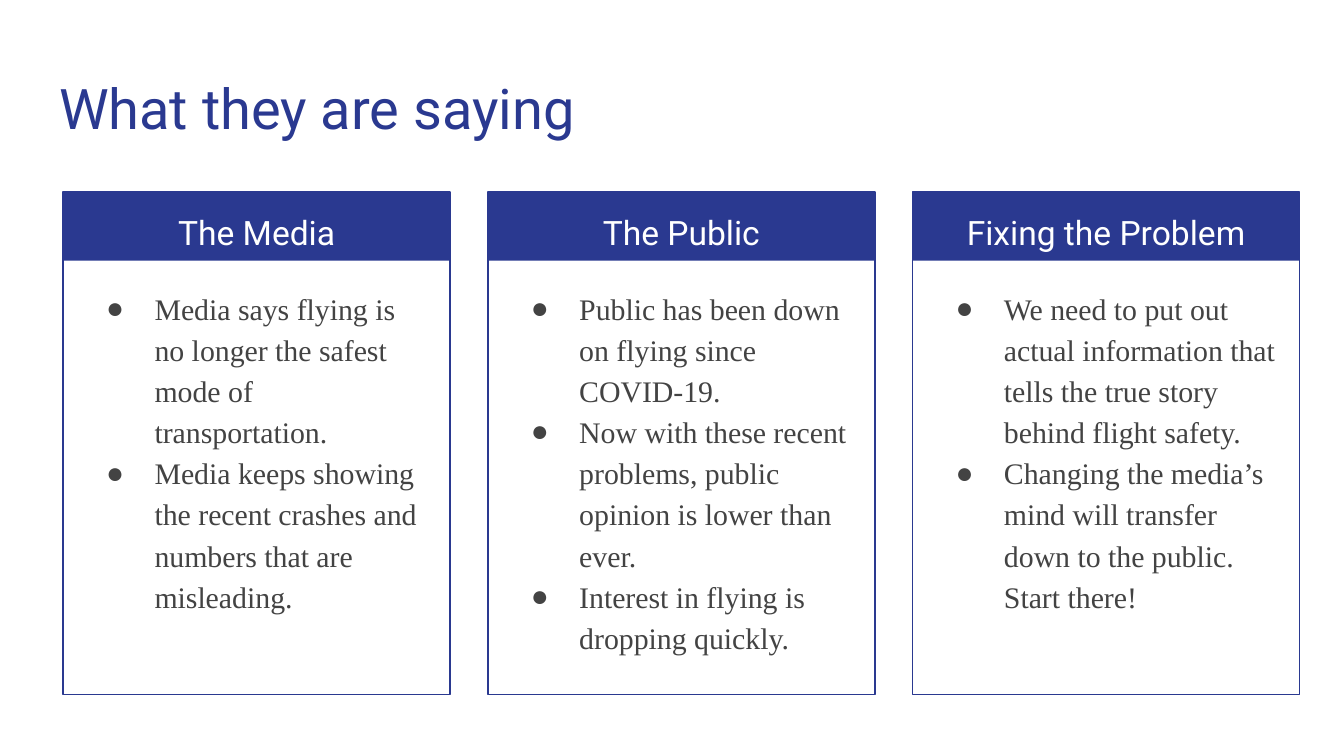
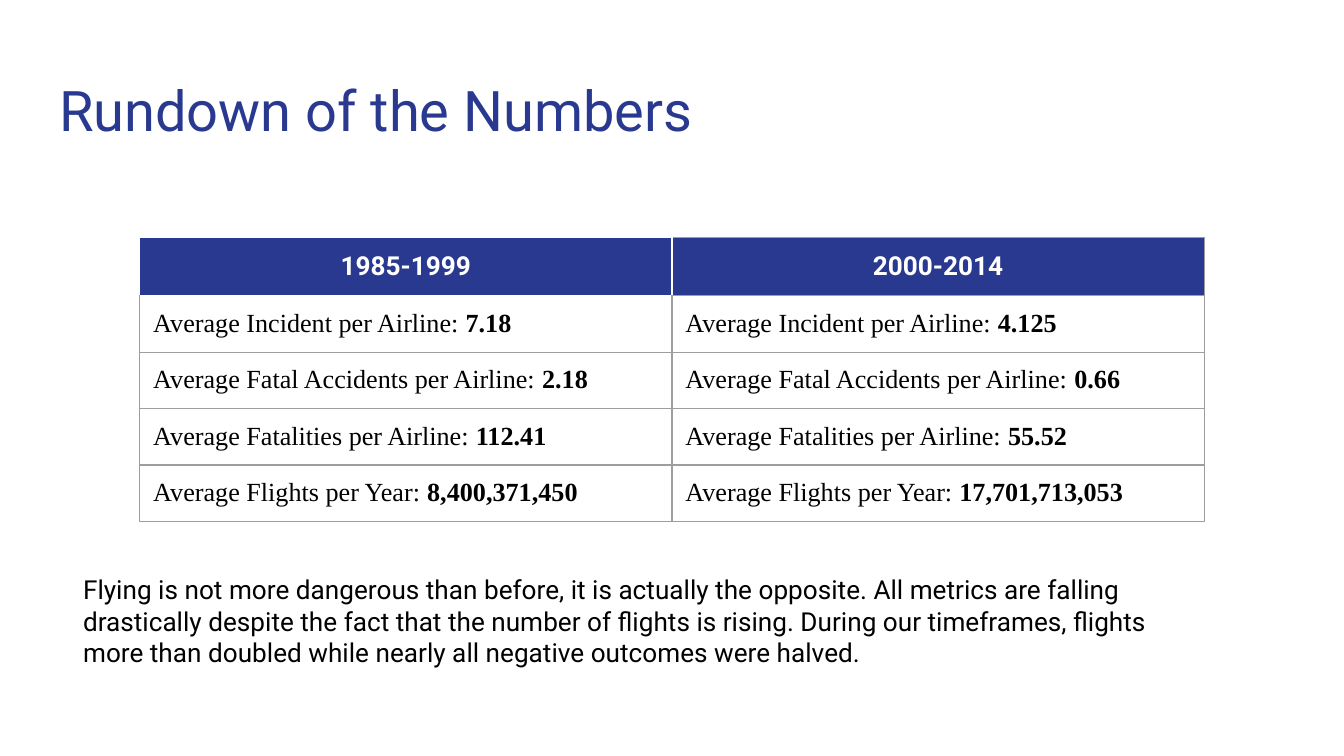
from lxml.etree import SubElement
from pptx import Presentation
from pptx.dml.color import RGBColor
from pptx.enum.shapes import MSO_SHAPE
from pptx.enum.text import MSO_ANCHOR, MSO_AUTO_SIZE, PP_ALIGN
from pptx.oxml import parse_xml
from pptx.oxml.ns import nsdecls, qn
from pptx.util import Inches, Pt

# Shared look
WIDE, HIGH = 10, 5.625
BLUE, GREY, EDGE = "2A3990", "434343", "9E9E9E"
WHITE, BLACK = "FFFFFF", "000000"
SANS, SERIF = "Roboto", "Times New Roman"

# Card layout, in percent of the slide's width and height
LEFT, STEP, CARD = 4.7, 31.6, 28.8
TOP, BAR, TALL = 25.42, 9.07, 66.49
PAD = 0.8

CARDS = [
    ("The Media", [
        "Media says flying is no longer the safest mode of transportation.",
        "Media keeps showing the recent crashes and numbers that are misleading.",
    ]),
    ("The Public", [
        "Public has been down on flying since COVID-19.",
        "Now with these recent problems, public opinion is lower than ever.",
        "Interest in flying is dropping quickly.",
    ]),
    ("Fixing the Problem", [
        "We need to put out actual information that tells the true story "
        "behind flight safety.",
        "Changing the media’s mind will transfer down to the public. Start there!",
    ]),
]

YEARS = ["1985-1999", "2000-2014"]
STATS = [
    ("Average Incident per Airline: ", "7.18", "4.125"),
    ("Average Fatal Accidents per Airline: ", "2.18", "0.66"),
    ("Average Fatalities per Airline: ", "112.41", "55.52"),
    ("Average Flights per Year: ", "8,400,371,450", "17,701,713,053"),
]
CLOSING = (
    "Flying is not more dangerous than before, it is actually the opposite. "
    "All metrics are falling drastically despite the fact that the number of "
    "flights is rising. During our timeframes, flights more than doubled while "
    "nearly all negative outcomes were halved."
)


def color(code):
    return RGBColor.from_string(code)


def area(x, y, w, h):
    """Turn percentages of the slide into lengths."""
    return [Inches(part * side / 100)
            for part, side in zip((x, y, w, h), (WIDE, HIGH) * 2)]


def place(shape, *box):
    shape.left, shape.top, shape.width, shape.height = area(*box)
    return shape


def dot(para, tint):
    props = para._p.get_or_add_pPr()
    props.set("marL", str(Inches(0.5)))
    props.set("indent", str(Inches(-0.36)))
    paint = SubElement(props, qn("a:buClr"))
    SubElement(paint, qn("a:srgbClr"), val=tint)
    SubElement(props, qn("a:buChar"), char="●")


def write(frame, *paras, size=14, font=SANS, tint=BLACK, bold=False,
          align=PP_ALIGN.LEFT, space=1.0, bullet=False):
    """Fill a frame; a paragraph is a string or a (plain, bold) pair."""
    for i, item in enumerate(paras):
        para = frame.add_paragraph() if i else frame.paragraphs[0]
        para.alignment, para.line_spacing = align, space
        para.space_before = para.space_after = Pt(0)
        if bullet:
            dot(para, tint)
        for j, words in enumerate([item] if isinstance(item, str) else item):
            run = para.add_run()
            run.text = words
            run.font.size, run.font.name = Pt(size), font
            run.font.bold = bold or j > 0
            run.font.color.rgb = color(tint)


def setup(shape):
    """Give a text shape the shared insets and top anchor."""
    frame = shape.text_frame
    frame.word_wrap, frame.auto_size = True, MSO_AUTO_SIZE.NONE
    frame.vertical_anchor = MSO_ANCHOR.TOP
    frame.margin_left = frame.margin_right = Inches(0.1)
    frame.margin_top = frame.margin_bottom = Inches(0.1)
    return frame


def label(slide, box, text, **style):
    write(setup(slide.shapes.add_textbox(*area(*box))), text, **style)


def title(slide, text, top=8):
    head = place(slide.shapes.title, 3.4, top, 93.2, 11.73)
    write(setup(head), text, size=30, tint=BLUE)


def block(slide, box, fill=None, line=None):
    rect = slide.shapes.add_shape(MSO_SHAPE.RECTANGLE, *area(*box))
    rect.shadow.inherit = False
    if fill:
        rect.fill.solid()
        rect.fill.fore_color.rgb = color(fill)
    else:
        rect.fill.background()
    if line:
        rect.line.color.rgb = color(line)
        rect.line.width = Pt(0.75)
    else:
        rect.line.fill.background()


def card(slide, body, x, head, points):
    block(slide, (x, TOP, CARD, BAR), fill=BLUE)
    block(slide, (x, TOP, CARD, TALL), line=BLUE)
    inner = CARD - 2 * PAD
    label(slide, (x + PAD, TOP, inner, 8.89), head, size=18, tint=WHITE,
          align=PP_ALIGN.CENTER, space=1.15)
    place(body, x + PAD, 35.91, inner, 54.4)
    write(setup(body), *points, size=16, font=SERIF, tint=GREY,
          space=1.15, bullet=True)


def border(cell, tints):
    props = cell._tc.get_or_add_tcPr()
    for i, (side, tint) in enumerate(zip("LRTB", tints)):
        props.insert(i, parse_xml(
            f'<a:ln{side} {nsdecls("a")} w="{Pt(0.75)}"><a:solidFill>'
            f'<a:srgbClr val="{tint}"/></a:solidFill></a:ln{side}>'))


def edges(row, col):
    """Left, right, top, bottom: white around the first cell only."""
    near = {(0, 0): "LRTB", (0, 1): "L", (1, 0): "T"}.get((row, col), "")
    return [WHITE if side in near else EDGE for side in "LRTB"]


def grid(slide, box):
    rows, cols = len(STATS) + 1, len(YEARS)
    table = slide.shapes.add_table(rows, cols, *area(*box)).table
    table.first_row = table.horz_banding = False
    for row in range(rows):
        for col in range(cols):
            cell = table.cell(row, col)
            cell.margin_left = cell.margin_right = Inches(0.1)
            cell.margin_top = cell.margin_bottom = Inches(0.1)
            if row == 0:
                cell.fill.solid()
                cell.fill.fore_color.rgb = color(BLUE)
                write(cell.text_frame, YEARS[col], tint=WHITE, bold=True,
                      align=PP_ALIGN.CENTER)
            else:
                cell.fill.background()
                name, *values = STATS[row - 1]
                write(cell.text_frame, (name, values[col]), font=SERIF)
            border(cell, edges(row, col))


def views(deck):
    slide = deck.slides.add_slide(deck.slide_layouts.get_by_name("Comparison"))
    title(slide, "What they are saying")
    *bodies, spare = list(slide.placeholders)[1:]
    spare._element.getparent().remove(spare._element)
    for i, (body, (head, points)) in enumerate(zip(bodies, CARDS)):
        card(slide, body, LEFT + i * STEP, head, points)


def numbers(deck):
    slide = deck.slides.add_slide(deck.slide_layouts.get_by_name("Title Only"))
    title(slide, "Rundown of the Numbers", top=8.2)
    grid(slide, (10.4, 31.47, 79.2, 37.35))
    label(slide, (5.2, 74.13, 84.4, 16.18), CLOSING)


def main():
    deck = Presentation()
    deck.slide_width, deck.slide_height = Inches(WIDE), Inches(HIGH)
    views(deck)
    numbers(deck)
    deck.save("out.pptx")


if __name__ == "__main__":
    main()
